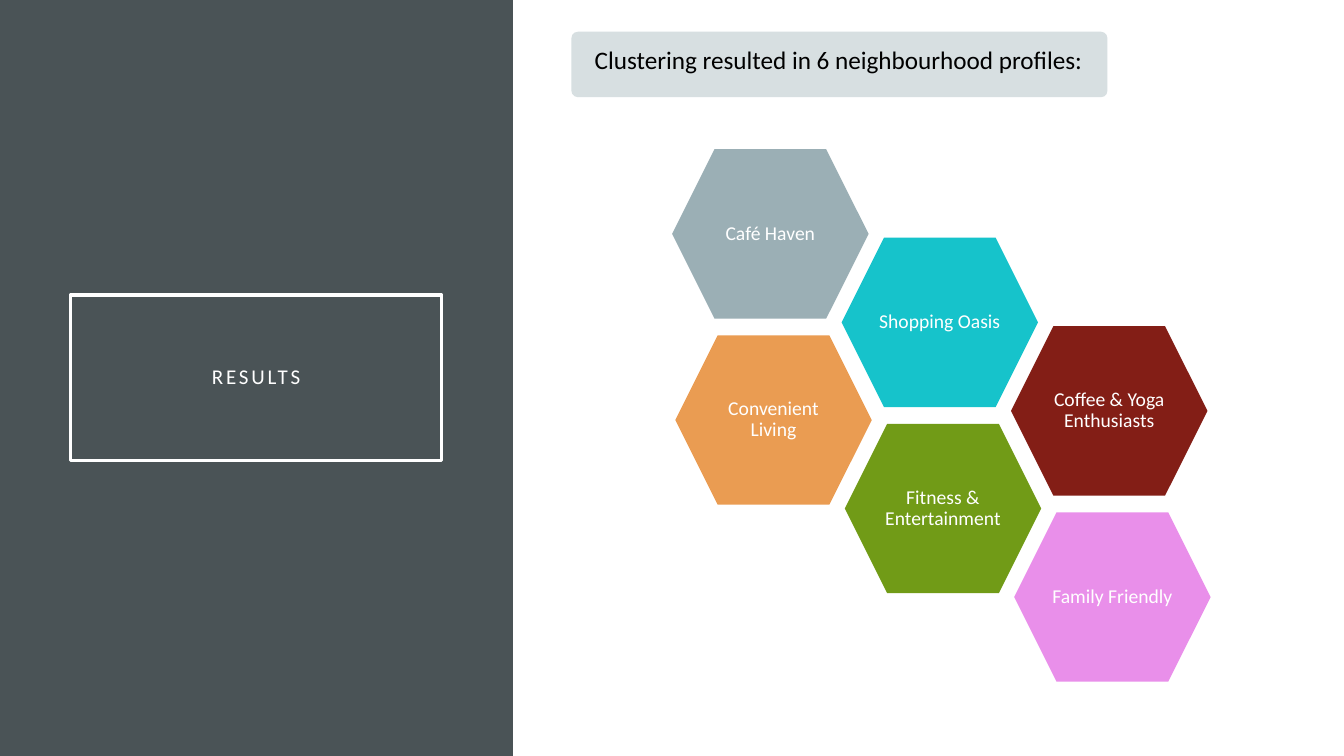
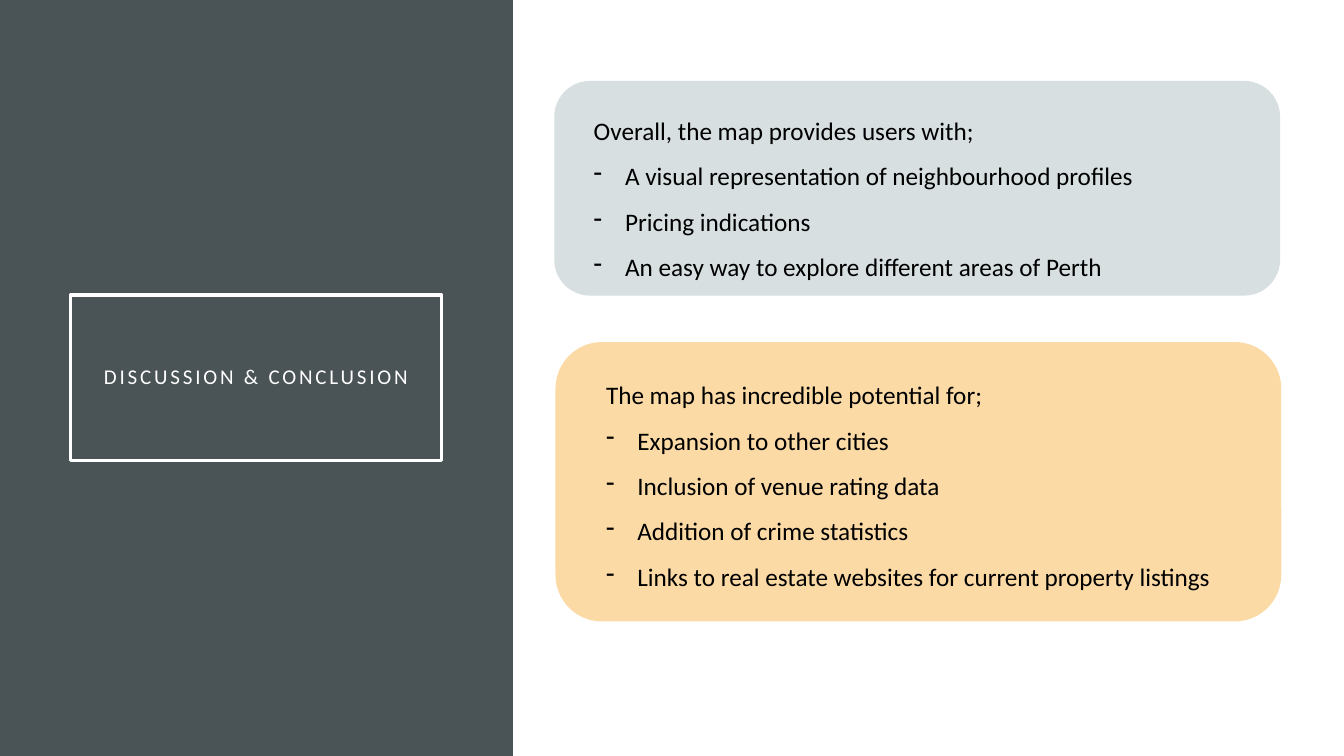
from dataclasses import dataclass

from lxml.etree import SubElement
from pptx import Presentation
from pptx.dml.color import RGBColor
from pptx.enum.shapes import MSO_SHAPE
from pptx.enum.text import MSO_ANCHOR, PP_ALIGN
from pptx.oxml.ns import qn
from pptx.util import Cm, Pt


@dataclass(frozen=True)
class Theme:
    font: str = "Calibri"
    white: str = "FFFFFF"
    black: str = "000000"
    slate: str = "4A5356"
    mist: str = "D7DFE1"
    sand: str = "FBDAA5"
    grey: str = "9BAFB5"
    teal: str = "16C3CB"
    maroon: str = "831E16"
    orange: str = "EA9C52"
    green: str = "719B17"
    pink: str = "E98FEA"
    title_size: int = 15
    body_size: int = 18
    label_size: int = 14


THEME = Theme()
SLIDE_W, SLIDE_H = 33.87, 19.05
SIDEBAR_W = 12.93
INDENT = 0.79
HEX_W, HEX_H = 4.95, 4.27
HEX_STEP_X, HEX_STEP_Y = 4.27, 2.23


def add_text(tf, text, first=False, size=THEME.body_size, color=THEME.black,
             align=PP_ALIGN.LEFT, line_spacing=1.0, tracking=0, bullet=None):
    p = tf.paragraphs[0] if first else tf.add_paragraph()
    p.alignment = align
    p.line_spacing = line_spacing
    if bullet:
        pPr = p._p.get_or_add_pPr()
        pPr.set("marL", str(Cm(INDENT)))
        pPr.set("indent", str(-Cm(INDENT)))
        SubElement(pPr, qn("a:buChar"), char=bullet)
    r = p.add_run()
    r.text = text
    r.font.name = THEME.font
    r.font.size = Pt(size)
    r.font.color.rgb = RGBColor.from_string(color)
    if tracking:
        r.font._element.set("spc", str(tracking * 100))


class Deck:
    def __init__(self, theme):
        self.theme = theme
        self.prs = Presentation()
        self.prs.slide_width, self.prs.slide_height = Cm(SLIDE_W), Cm(SLIDE_H)
        self.s = None

    def shape(self, kind, x, y, w, h, fill=None, line=None, insets=(0, 0, 0, 0),
              anchor=MSO_ANCHOR.MIDDLE):
        """Lengths in cm; insets run left, top, right, bottom."""
        sp = self.s.shapes.add_shape(kind, Cm(x), Cm(y), Cm(w), Cm(h))
        sp.shadow.inherit = False
        if fill:
            sp.fill.solid()
            sp.fill.fore_color.rgb = RGBColor.from_string(fill)
        else:
            sp.fill.background()
        if line:
            sp.line.color.rgb = RGBColor.from_string(line)
            sp.line.width = Pt(2.5)
        else:
            sp.line.fill.background()
        tf = sp.text_frame
        tf.word_wrap = True
        tf.vertical_anchor = anchor
        tf.margin_left, tf.margin_top, tf.margin_right, tf.margin_bottom = map(Cm, insets)
        return sp

    def slide(self, title):
        """Start a slide with the dark sidebar and its framed title."""
        t = self.theme
        self.s = self.prs.slides.add_slide(self.prs.slide_layouts[6])
        self.shape(MSO_SHAPE.RECTANGLE, 0, 0, SIDEBAR_W, SLIDE_H, t.slate)
        frame = self.shape(MSO_SHAPE.RECTANGLE, 1.78, 7.44, 9.35, 4.17,
                           line=t.white, insets=(0.5,) * 4)
        add_text(frame.text_frame, title, first=True, size=t.title_size, color=t.white,
                 align=PP_ALIGN.CENTER, line_spacing=0.9, tracking=2)

    def panel(self, x, y, w, h, fill, heading, bullets=(), pad=(0.73, 0.22),
              line_spacing=1.5, corner=None):
        sp = self.shape(MSO_SHAPE.ROUNDED_RECTANGLE, x, y, w, h, fill,
                        insets=(*pad, 0, 0), anchor=MSO_ANCHOR.TOP)
        if corner is not None:
            sp.adjustments[0] = corner
        add_text(sp.text_frame, heading, first=True, line_spacing=line_spacing)
        for text in bullets:
            add_text(sp.text_frame, text, line_spacing=line_spacing, bullet="-")

    def hexagon(self, x, y, fill, label):
        sp = self.shape(MSO_SHAPE.HEXAGON, x, y, HEX_W, HEX_H, fill)
        sp.adjustments[0] = 0.25
        add_text(sp.text_frame, label, first=True, size=self.theme.label_size,
                 color=self.theme.white, align=PP_ALIGN.CENTER, line_spacing=0.9)

    def hexagon_chain(self, x, y, cells):
        """Place hexagons diagonally, each one step right and down."""
        for i, (label, fill) in enumerate(cells):
            self.hexagon(x + i * HEX_STEP_X, y + i * HEX_STEP_Y, fill, label)


def results(deck):
    t = deck.theme
    deck.slide("RESULTS")
    deck.hexagon_chain(16.94, 3.76, [
        ("Café Haven", t.grey),
        ("Shopping Oasis", t.teal),
        ("Coffee & Yoga Enthusiasts", t.maroon),
    ])
    deck.hexagon_chain(17.02, 8.45, [
        ("Convenient Living", t.orange),
        ("Fitness & Entertainment", t.green),
        ("Family Friendly", t.pink),
    ])
    deck.panel(14.4, 0.8, 13.51, 1.65, t.mist,
               "Clustering resulted in 6 neighbourhood profiles:",
               pad=(0.54, 0.28), line_spacing=1.0, corner=0.1)


def conclusion(deck):
    t = deck.theme
    deck.slide("DISCUSSION & CONCLUSION")
    deck.panel(13.97, 2.04, 18.29, 5.41, t.mist, "Overall, the map provides users with;", [
        "A visual representation of neighbourhood profiles",
        "Pricing indications",
        "An easy way to explore different areas of Perth",
    ])
    deck.panel(14, 8.62, 18.29, 7.04, t.sand, "The map has incredible potential for;", [
        "Expansion to other cities",
        "Inclusion of venue rating data",
        "Addition of crime statistics",
        "Links to real estate websites for current property listings",
    ], pad=(0.93, 0.22))


def main():
    deck = Deck(THEME)
    results(deck)
    conclusion(deck)
    deck.prs.save("out.pptx")


if __name__ == "__main__":
    main()
